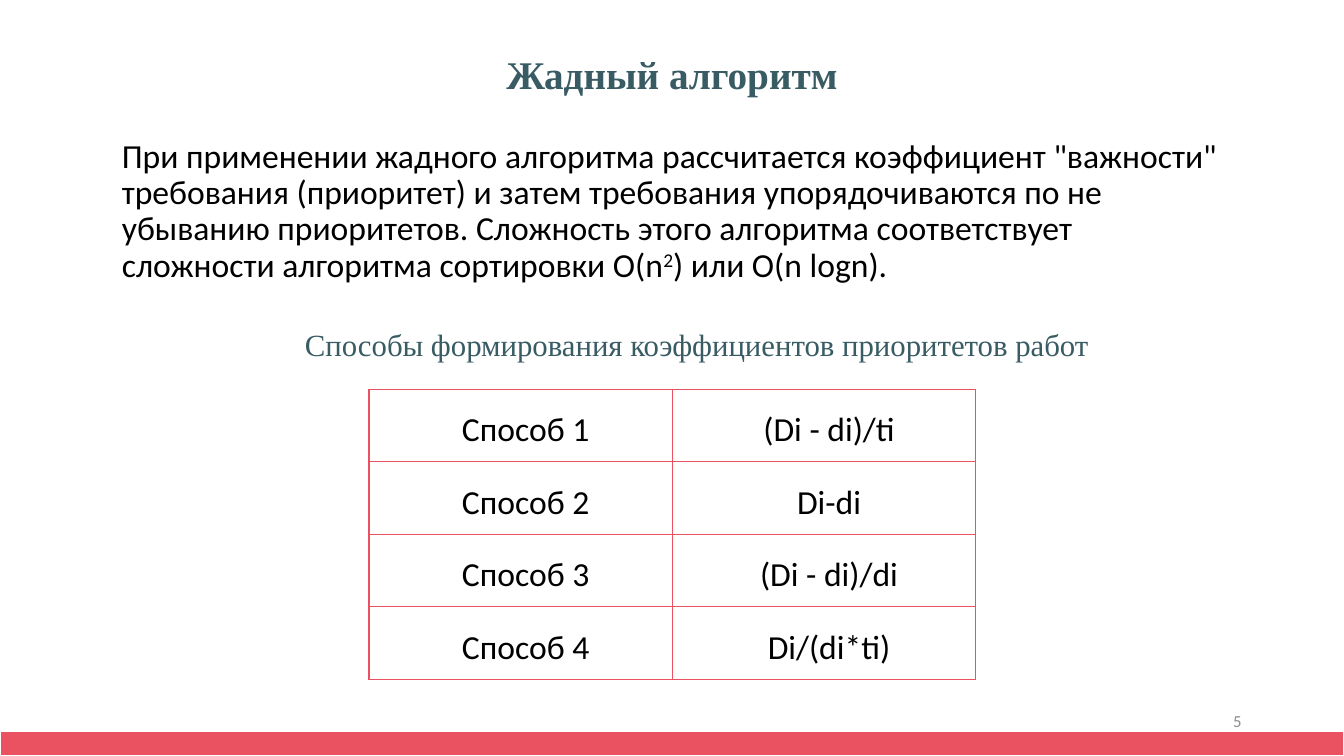
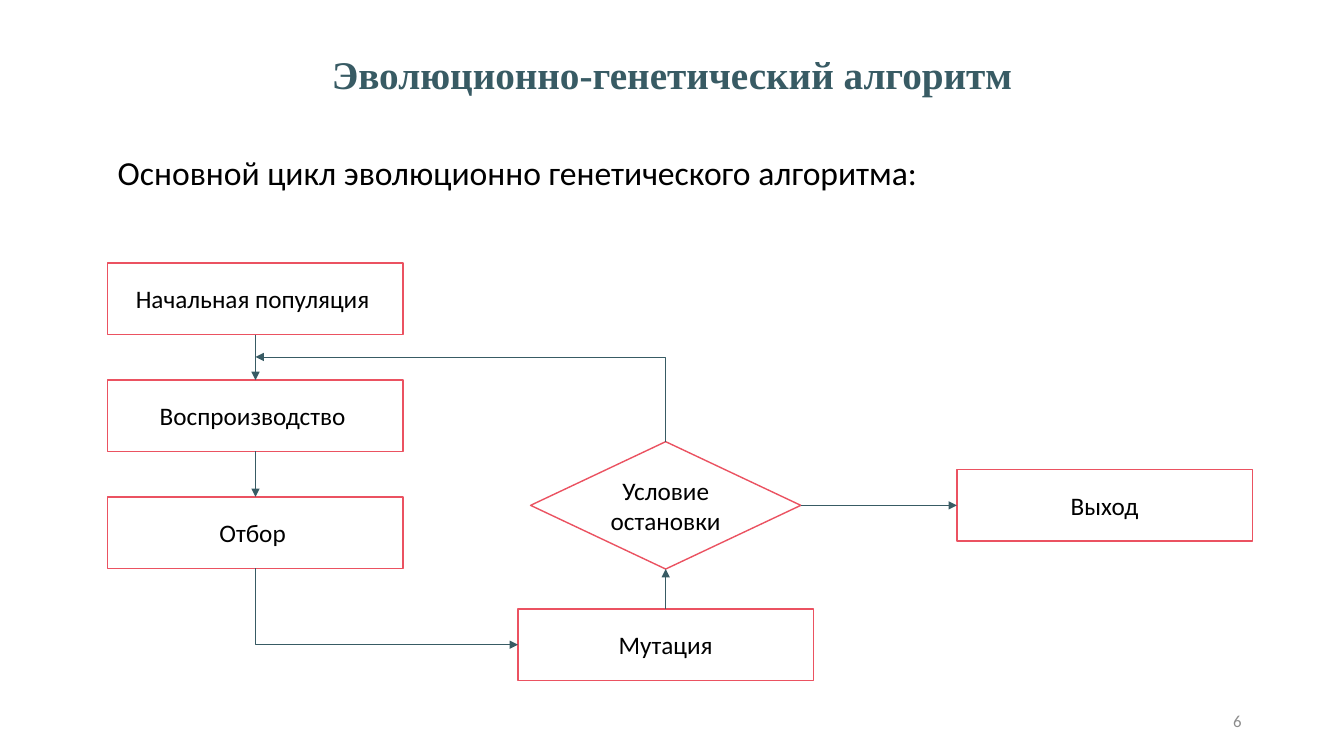
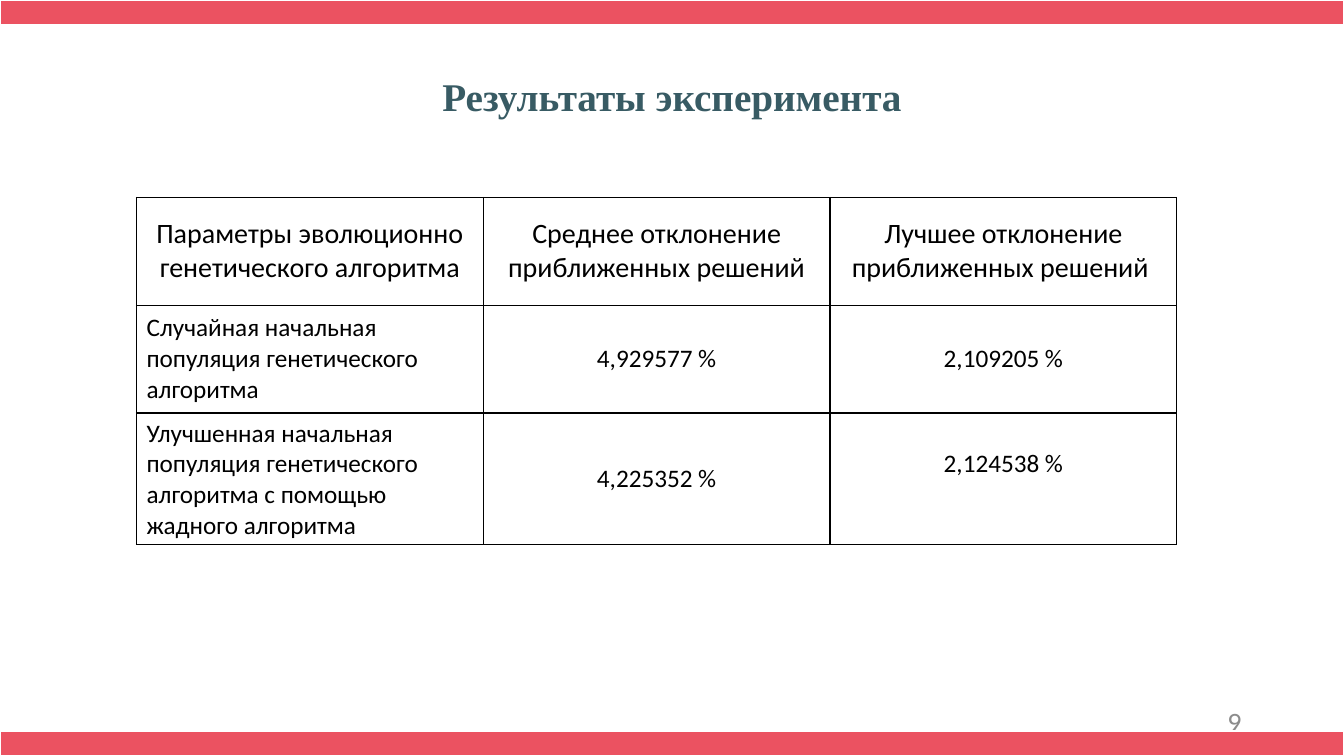
from lxml.etree import SubElement as Sub
from pptx import Presentation
from pptx.dml.color import RGBColor
from pptx.enum.shapes import MSO_CONNECTOR as Link, MSO_SHAPE as Form
from pptx.enum.text import MSO_ANCHOR as Anchor, MSO_AUTO_SIZE as Auto, PP_ALIGN as Align
from pptx.oxml.ns import qn
from pptx.util import Pt

WIDE, HIGH = 960, 540
RED, TEAL, GREY, BLACK, WHITE = "EB5261", "385B64", "8C8C8C", "000000", "FFFFFF"
SANS, SERIF = "Calibri", "Times New Roman"
TOP, LEFT, BOTTOM, RIGHT = range(4)
INDENT = 35.3
BOX = (211, 51)


def color(code):
    """Turn a hex string into a colour."""
    return RGBColor.from_string(code)


def apply(item, values):
    """Set each named value on an object."""
    for name, value in values.items():
        setattr(item, name, value)


def write(frame, text, size, font=SANS, ink=BLACK, bold=False, indent=0, para=None, body=None):
    """Fill a text frame with one paragraph, given as text or as (text, baseline) parts."""
    apply(frame, {"word_wrap": True, **(body or {})})
    line = frame.paragraphs[0]
    apply(line, para or {})
    if indent:
        apply_xml(line._p.get_or_add_pPr(), {"marL": 0, "indent": Pt(indent)})
    for part, base in [(text, 0)] if isinstance(text, str) else text:
        run = line.add_run()
        run.text = part
        apply(run.font, {"size": Pt(size), "name": font, "bold": bold})
        run.font.color.rgb = color(ink)
        if base:
            apply_xml(run.font._element, {"baseline": base})


def apply_xml(node, values):
    """Set each named attribute on an XML node."""
    for name, value in values.items():
        node.set(name, str(value))


def place(area):
    """Convert a tuple of points to lengths."""
    return [Pt(value) for value in area]


def label(slide, area, text, size, **style):
    """Add a text box."""
    write(slide.shapes.add_textbox(*place(area)).text_frame, text, size, **style)


def shape(slide, form, area, fill, edge, width):
    """Add a flat filled shape with an outline."""
    item = slide.shapes.add_shape(form, *place(area))
    item.shadow.inherit = False
    item.fill.solid()
    item.fill.fore_color.rgb = color(fill)
    item.line.color.rgb = color(edge)
    item.line.width = Pt(width)
    return item


def band(slide, top):
    """Add a red band across the slide."""
    shape(slide, Form.RECTANGLE, (0, top, WIDE, 18), RED, WHITE, 1.5)


def node(slide, text, area, form=Form.RECTANGLE):
    """Add a step of the flow chart."""
    item = shape(slide, form, area, WHITE, RED, 1)
    write(item.text_frame, text, 18, para={"alignment": Align.CENTER},
          body={"vertical_anchor": Anchor.MIDDLE})
    return item


def wire(slide, kind, ends, tip):
    """Add a thin connector with an arrowhead at the named end."""
    item = slide.shapes.add_connector(kind, *place(ends))
    item.line.color.rgb = color(TEAL)
    item.line.width = Pt(0.5)
    apply_xml(Sub(item.line._get_or_add_ln(), qn("a:" + tip)), {"type": "triangle"})
    Sub(item._element.spPr, qn("a:effectLst"))
    return item


def arrow(slide, start, out, end, into):
    """Join two steps with a straight arrow."""
    item = wire(slide, Link.STRAIGHT, (0, 0, 0, 0), "tailEnd")
    item.begin_connect(start, out)
    item.end_connect(end, into)


def bend(slide, ends):
    """Add a one-corner connector whose arrowhead is at its start."""
    item = wire(slide, Link.ELBOW, ends, "headEnd")
    item._element.spPr.find(qn("a:prstGeom")).set("prst", "bentConnector2")
    return item


def border(cell, ink):
    """Outline a cell and leave it without a fill."""
    props = cell._tc.get_or_add_tcPr()
    for side in ("lnL", "lnR", "lnT", "lnB"):
        edge = Sub(props, qn("a:" + side), w=str(Pt(1)))
        Sub(Sub(edge, qn("a:solidFill")), qn("a:srgbClr"), val=ink)
    cell.fill.background()


def grid(slide, left, top, width, heights, rows, ink, style):
    """Add a table whose cells take their format from style(row, column)."""
    count = len(rows[0])
    area = place((left, top, width * count, sum(heights)))
    table = slide.shapes.add_table(len(rows), count, *area).table
    apply(table, {"first_row": False, "horz_banding": False})
    for col in table.columns:
        col.width = Pt(width)
    for r, (height, texts) in enumerate(zip(heights, rows)):
        table.rows[r].height = Pt(height)
        for c, text in enumerate(texts):
            cell = table.cell(r, c)
            form = style(r, c)
            apply(cell, form["cell"])
            write(cell.text_frame, text, form["size"], para=form["para"],
                  indent=form.get("indent", 0))
            border(cell, ink)


def start(deck, title, top, number, size=12):
    """Add a slide with its title and page number."""
    slide = deck.slides.add_slide(deck.slide_layouts[5])
    head = slide.shapes.title
    apply(head, dict(zip(("left", "top", "width", "height"), place((120, top, 720, 41)))))
    write(head.text_frame, title, 28, SERIF, TEAL, True, para={"alignment": Align.CENTER},
          body={"vertical_anchor": Anchor.TOP, "auto_size": Auto.SHAPE_TO_FIT_TEXT})
    label(slide, (678, 500.5, 216, 28.8), number, size, ink=GREY,
          para={"alignment": Align.RIGHT}, body={"vertical_anchor": Anchor.MIDDLE})
    return slide


def way(row, col):
    """Give the format of a cell in the table of priorities."""
    return {"size": 24, "indent": INDENT,
            "para": {"alignment": Align.CENTER, "line_spacing": 1.5},
            "cell": {"vertical_anchor": Anchor.BOTTOM, "margin_left": 0, "margin_top": 0,
                     "margin_right": Pt(28), "margin_bottom": Pt(8.6)}}


def result(row, col):
    """Give the format of a cell in the table of results."""
    side = Align.LEFT if row and not col else Align.CENTER
    cell = {"vertical_anchor": Anchor.MIDDLE}
    if (row, col) == (2, 2):
        cell = {"vertical_anchor": Anchor.TOP, "margin_top": Pt(25.6)}
    return {"size": 18 if row else 20, "para": {"alignment": side}, "cell": cell}


def greedy(deck):
    """Build the slide on the greedy algorithm."""
    slide = start(deck, "Жадный алгоритм", 32, "5")
    text = [("При применении жадного алгоритма рассчитается коэффициент \"важности\" требования "
             "(приоритет) и затем требования упорядочиваются по не убыванию приоритетов. "
             "Сложность этого алгоритма соответствует сложности алгоритма сортировки O(n", 0),
            ("2", 30000), (") или O(n logn).", 0)]
    label(slide, (80, 96, 800.5, 120), text, 24,
          para={"line_spacing": 0.9, "space_before": Pt(10)})
    rates = ["(Di - di)/ti", "Di-di", "(Di - di)/di", "Di/(di*ti)"]
    rows = [(f"Способ {n}", rate) for n, rate in enumerate(rates, 1)]
    grid(slide, 263.5, 278, 216.7, [51.7] * 4, rows, RED, way)
    label(slide, (0, 216, WIDE, 42.5), "Способы формирования коэффициентов приоритетов работ",
          22, font=SERIF, ink=TEAL, indent=INDENT,
          para={"alignment": Align.CENTER, "line_spacing": 1.5})
    band(slide, HIGH - 18)


def genetic(deck):
    """Build the slide with the cycle of the genetic algorithm."""
    slide = start(deck, "Эволюционно-генетический алгоритм", 32, "6")
    label(slide, (77, 105, 591, 36), "Основной цикл эволюционно генетического алгоритма:", 24,
          body={"word_wrap": False})
    names = ["Начальная популяция ", "Воспроизводство ", "Отбор "]
    first, breed, pick = [node(slide, name, (77, 188 + 83.5 * n, *BOX))
                          for n, name in enumerate(names)]
    mutate = node(slide, "Мутация", (370, 435, *BOX))
    leave = node(slide, "Выход", (683.5, 335.5, *BOX))
    check = node(slide, "Условие остановки", (379, 315.5, 193, 91), Form.FLOWCHART_DECISION)
    arrow(slide, first, BOTTOM, breed, TOP)
    arrow(slide, breed, BOTTOM, pick, TOP)
    arrow(slide, mutate, TOP, check, BOTTOM)
    arrow(slide, check, RIGHT, leave, LEFT)
    bend(slide, (370, 460.5, 182.5, 406))
    bend(slide, (182.5, 255, 475.5, 315.5))


def report(deck):
    """Build the slide with the results of the experiment."""
    slide = start(deck, "Результаты эксперимента", 48, "9", 20)
    for top in (0, HIGH - 18):
        band(slide, top)
    rows = [("Параметры эволюционно генетического алгоритма",
             "Среднее отклонение приближенных решений", "Лучшее отклонение приближенных решений "),
            ("Случайная начальная популяция генетического алгоритма", "4,929577 %", "2,109205 %"),
            ("Улучшенная начальная популяция генетического алгоритма с помощью жадного алгоритма",
             "4,225352 %", "2,124538 %")]
    grid(slide, 97.5, 141, 247.7, [77, 77, 94], rows, BLACK, result)


def main():
    """Build and save the deck."""
    deck = Presentation()
    apply(deck, {"slide_width": Pt(WIDE), "slide_height": Pt(HIGH)})
    for build in (greedy, genetic, report):
        build(deck)
    deck.save("out.pptx")


if __name__ == "__main__":
    main()
